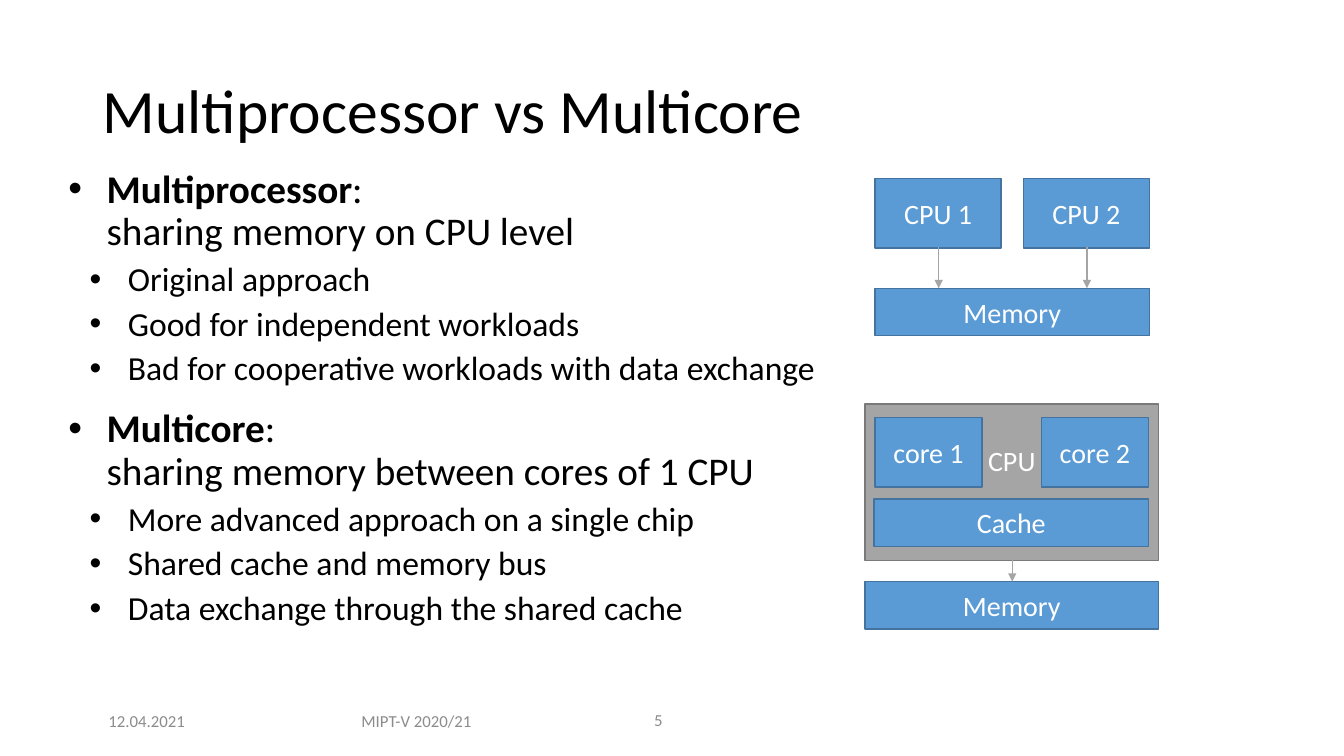
from dataclasses import dataclass

from lxml import etree
from pptx import Presentation
from pptx.dml.color import RGBColor
from pptx.enum.shapes import MSO_CONNECTOR, MSO_SHAPE
from pptx.enum.text import MSO_ANCHOR, PP_ALIGN
from pptx.oxml.ns import qn
from pptx.shapes.group import GroupShape
from pptx.slide import Slide
from pptx.text.text import TextFrame
from pptx.util import Inches, Pt

BLACK = RGBColor(0x00, 0x00, 0x00)
WHITE = RGBColor(0xFF, 0xFF, 0xFF)
BLUE = RGBColor(0x5B, 0x9B, 0xD5)
DARK_BLUE = RGBColor(0x43, 0x73, 0x9E)
GRAY = RGBColor(0xA5, 0xA5, 0xA5)
DARK_GRAY = RGBColor(0x7A, 0x7A, 0x7A)
FOOTER_GRAY = RGBColor(0x8C, 0x8C, 0x8C)

RECTANGLE = MSO_SHAPE.RECTANGLE
STRAIGHT = MSO_CONNECTOR.STRAIGHT
TOP = MSO_ANCHOR.TOP
MIDDLE = MSO_ANCHOR.MIDDLE
LEFT = PP_ALIGN.LEFT
CENTER = PP_ALIGN.CENTER

FONT = "Calibri"
BULLET_HANG = 0.38


@dataclass(frozen=True)
class Label:
    text: str
    left: float
    top: float
    width: float
    height: float
    size: int
    color: RGBColor
    align: PP_ALIGN = CENTER


@dataclass(frozen=True)
class Block:
    text: str
    left: float
    top: float
    width: float
    height: float
    fill: RGBColor = BLUE
    outline: RGBColor = DARK_BLUE
    anchor: MSO_ANCHOR = MIDDLE
    inset_top: float = 0.05


@dataclass(frozen=True)
class Arrow:
    x: float
    top: float
    bottom: float


@dataclass(frozen=True)
class Topic:
    term: str
    meaning: str
    points: tuple[str, ...]


@dataclass(frozen=True)
class Diagram:
    blocks: tuple[Block, ...]
    arrows: tuple[Arrow, ...]


LABELS = (
    Label("Multiprocessor vs Multicore", 0.92, 0.4, 11.5, 1.45, 44, BLACK, LEFT),
    Label("12.04.2021", 0.92, 6.95, 1.07, 0.4, 12, FOOTER_GRAY),
    Label("MIPT-V 2020/21", 3.34, 6.95, 1.58, 0.4, 12, FOOTER_GRAY),
    Label("5", 6.39, 6.95, 0.79, 0.4, 12, FOOTER_GRAY, LEFT),
)

TOPICS = (
    Topic("Multiprocessor", "sharing memory on CPU level", (
        "Original approach",
        "Good for independent workloads",
        "Bad for cooperative workloads with data exchange",
    )),
    Topic("Multicore", "sharing memory between cores of 1 CPU", (
        "More advanced approach on a single chip",
        "Shared cache and memory bus",
        "Data exchange through the shared cache",
    )),
)

MULTIPROCESSOR = Diagram(
    (
        Block("CPU 1", 8.68, 1.77, 1.25, 0.69),
        Block("CPU 2", 10.15, 1.77, 1.25, 0.69),
        Block("Memory", 8.68, 2.86, 2.72, 0.47),
    ),
    (Arrow(9.31, 2.45, 2.86), Arrow(10.78, 2.45, 2.86)),
)

MULTICORE = Diagram(
    (
        Block("CPU", 8.58, 4.01, 2.91, 1.55, GRAY, DARK_GRAY, TOP, 0.39),
        Block("core 1", 8.68, 4.14, 1.06, 0.69),
        Block("core 2", 10.33, 4.14, 1.06, 0.69),
        Block("Cache", 8.67, 4.95, 2.72, 0.47),
        Block("Memory", 8.58, 5.77, 2.91, 0.47),
    ),
    (Arrow(10.04, 5.56, 5.77),),
)


def add_span(para, text: str, size: int, color: RGBColor, bold: bool = False) -> None:
    span = para.add_run()
    span.text = text
    span.font.color.rgb = color
    formats = {"name": FONT, "size": Pt(size), "bold": bold}
    for name, value in formats.items():
        setattr(span.font, name, value)


def add_label(page: Slide, label: Label) -> None:
    box = page.shapes.add_textbox(
        Inches(label.left), Inches(label.top), Inches(label.width), Inches(label.height))
    frame = box.text_frame
    frame.word_wrap = True
    frame.vertical_anchor = MIDDLE
    para = frame.paragraphs[0]
    para.alignment = label.align
    para.line_spacing = 0.9 if label.align == LEFT else 1.0
    add_span(para, label.text, label.size, label.color)


def add_bullet(frame: TextFrame, first: bool, level: int, indent: float, space: int):
    para = frame.paragraphs[0] if first else frame.add_paragraph()
    properties = para._p.get_or_add_pPr()
    properties.set("marL", str(Inches(indent)))
    properties.set("indent", str(-Inches(BULLET_HANG)))
    etree.SubElement(properties, qn("a:buFont"), typeface="Arial")
    etree.SubElement(properties, qn("a:buChar"), char="•")
    formats = {"level": level, "line_spacing": 0.9, "space_before": Pt(0 if first else space)}
    for name, value in formats.items():
        setattr(para, name, value)
    return para


def add_topics(page: Slide, topics: tuple[Topic, ...]) -> None:
    box = page.shapes.add_textbox(Inches(0.58), Inches(1.63), Inches(7.67), Inches(5.58))
    frame = box.text_frame
    frame.word_wrap = True
    for index, topic in enumerate(topics):
        para = add_bullet(frame, index == 0, 0, 0.38, 15)
        add_span(para, topic.term, 28, BLACK, True)
        add_span(para, ":", 28, BLACK)
        para.add_line_break()
        add_span(para, topic.meaning, 28, BLACK)
        for point in topic.points:
            add_span(add_bullet(frame, False, 1, 0.59, 6), point, 24, BLACK)


def add_block(group: GroupShape, block: Block) -> None:
    box = group.shapes.add_shape(
        RECTANGLE, Inches(block.left), Inches(block.top),
        Inches(block.width), Inches(block.height))
    box.shadow.inherit = False
    box.fill.solid()
    box.fill.fore_color.rgb = block.fill
    box.line.color.rgb = block.outline
    box.line.width = Pt(1)
    frame = box.text_frame
    formats = {
        "word_wrap": False,
        "vertical_anchor": block.anchor,
        "margin_top": Inches(block.inset_top),
    }
    for name, value in formats.items():
        setattr(frame, name, value)
    para = frame.paragraphs[0]
    para.alignment = CENTER
    add_span(para, block.text, 20, WHITE)


def add_arrow(group: GroupShape, arrow: Arrow) -> None:
    line = group.shapes.add_connector(
        STRAIGHT, Inches(arrow.x), Inches(arrow.top), Inches(arrow.x), Inches(arrow.bottom))
    line.line.color.rgb = GRAY
    line.line.width = Pt(1)
    etree.SubElement(line.line._get_or_add_ln(), qn("a:tailEnd"), type="triangle")
    etree.SubElement(line._element.spPr, qn("a:effectLst"))


def add_diagram(page: Slide, diagram: Diagram) -> None:
    group = page.shapes.add_group_shape()
    for block in diagram.blocks:
        add_block(group, block)
    for arrow in diagram.arrows:
        add_arrow(group, arrow)


def main() -> None:
    deck = Presentation()
    deck.slide_width = Inches(13.33)
    deck.slide_height = Inches(7.5)
    page = deck.slides.add_slide(deck.slide_layouts[6])
    for label in LABELS:
        add_label(page, label)
    add_topics(page, TOPICS)
    for diagram in (MULTIPROCESSOR, MULTICORE):
        add_diagram(page, diagram)
    deck.save("out.pptx")


if __name__ == "__main__":
    main()
